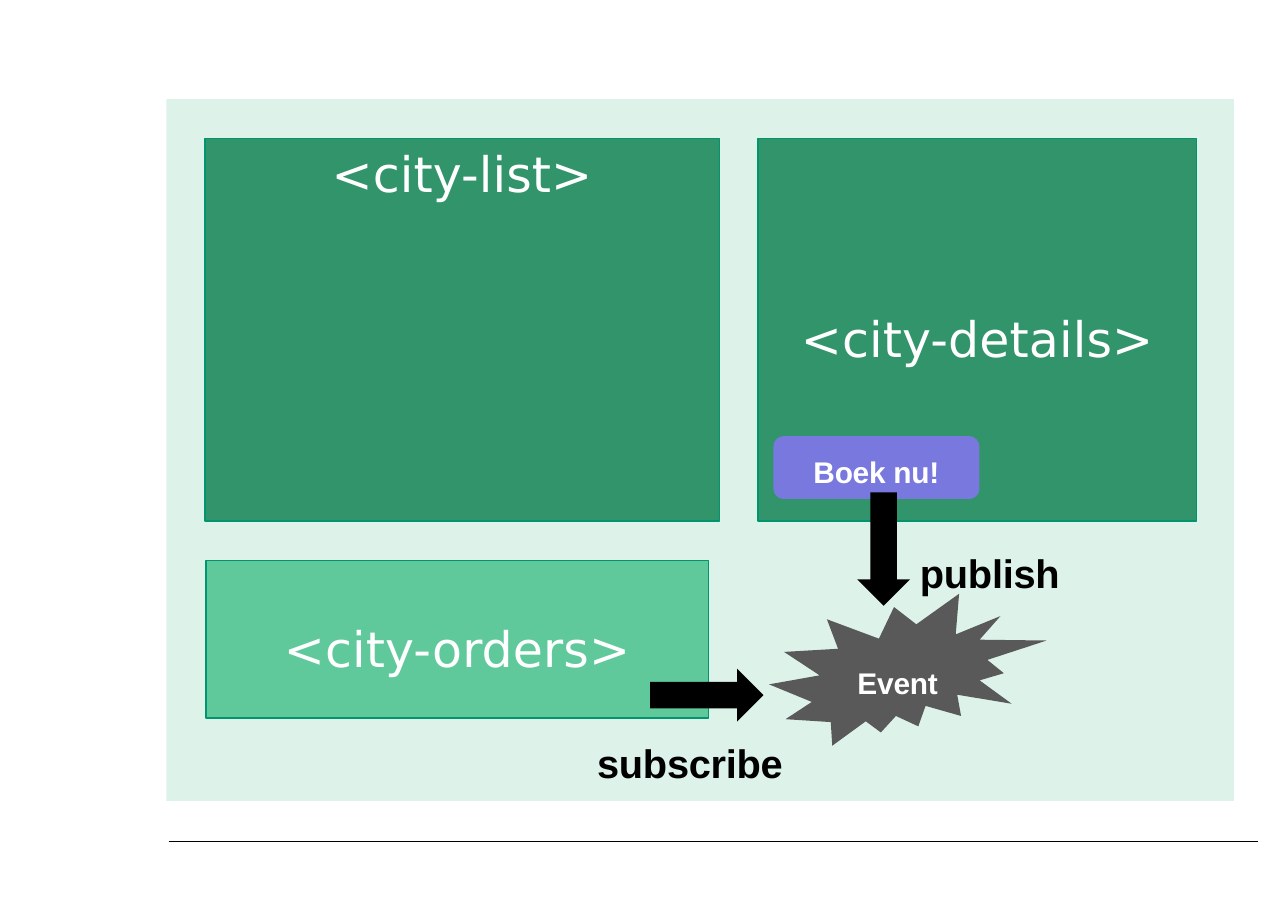
from pptx import Presentation
from pptx.dml.color import RGBColor
from pptx.enum.shapes import MSO_CONNECTOR, MSO_SHAPE as SHAPE
from pptx.enum.text import MSO_ANCHOR as ANCHOR, PP_ALIGN as ALIGN
from pptx.oxml.ns import qn
from pptx.util import Inches, Pt
from lxml.etree import SubElement

COLORS = {
    "black": "000000", "white": "FFFFFF", "mint": "DDF3EA",
    "green": "32946A", "light green": "60C99C", "border": "00956F",
    "violet": "7878DE", "grey": "595959",
}
# Font format and letter spacing (hundredths of a point)
COMPONENT = ({"name": "DejaVu Sans", "size": Pt(32), "bold": False}, 8)
BUTTON = ({"name": "Arial", "size": Pt(19.5), "bold": True}, -20)
ACTION = ({"name": "Arial", "size": Pt(26), "bold": True}, -20)


def rgb(name):
    return RGBColor.from_string(COLORS[name])


class Diagram:
    def __init__(self, slide):
        self.shapes = slide.shapes

    def caption(self, frame, text, style, color="white", align=ALIGN.CENTER,
                anchor=ANCHOR.MIDDLE, drop=0):
        layout = {"margin_left": 0, "margin_right": 0, "margin_bottom": 0,
                  "margin_top": Inches(drop), "word_wrap": False,
                  "vertical_anchor": anchor}
        for key, value in layout.items():
            setattr(frame, key, value)
        paragraph = frame.paragraphs[0]
        paragraph.alignment = align
        run = paragraph.add_run()
        run.text = text
        font_format, spacing = style
        for key, value in font_format.items():
            setattr(run.font, key, value)
        run.font.color.rgb = rgb(color)
        run._r.get_or_add_rPr().set("spc", str(spacing))

    def block(self, kind, box, fill, border=None):
        block = self.shapes.add_shape(kind, *map(Inches, box))
        block.shadow.inherit = False
        block.fill.solid()
        block.fill.fore_color.rgb = rgb(fill)
        if border:
            block.line.color.rgb = rgb(border)
            block.line.width = Pt(1)
        else:
            block.line.fill.background()
        return block

    def label(self, box, text):
        label = self.shapes.add_textbox(*map(Inches, box))
        self.caption(label.text_frame, text, ACTION, "black", ALIGN.LEFT, ANCHOR.TOP)

    def rule(self, left, right, y):
        rule = self.shapes.add_connector(
            MSO_CONNECTOR.STRAIGHT, *map(Inches, (left, y, right, y)))
        rule.line.color.rgb = rgb("black")
        rule.line.width = Pt(0.94)
        SubElement(rule._element.spPr, qn("a:effectLst"))


def main():
    deck = Presentation()
    deck.slide_width, deck.slide_height = Inches(11.69), Inches(8.27)
    diagram = Diagram(deck.slides.add_slide(deck.slide_layouts[6]))

    # Footer rule and application panel
    diagram.rule(1.53, 11.42, 7.64)
    diagram.block(SHAPE.RECTANGLE, (1.51, 0.9, 9.69, 6.37), "mint")

    # Components
    components = [
        ("<city-list>", (1.86, 1.26, 4.67, 3.47), "green", ANCHOR.TOP, 0.04),
        ("<city-orders>", (1.87, 5.09, 4.56, 1.43), "light green", ANCHOR.MIDDLE, 0.16),
        ("<city-details>", (6.88, 1.26, 3.98, 3.47), "green", ANCHOR.MIDDLE, 0.15),
    ]
    for tag, box, fill, anchor, drop in components:
        component = diagram.block(SHAPE.RECTANGLE, box, fill, "border")
        diagram.caption(component.text_frame, tag, COMPONENT, anchor=anchor, drop=drop)

    # Booking button
    button = diagram.block(SHAPE.ROUNDED_RECTANGLE, (7.02, 3.96, 1.87, 0.57), "violet")
    diagram.caption(button.text_frame, "Boek nu!", BUTTON, drop=0.08)

    # Event
    event = diagram.block(SHAPE.EXPLOSION2, (6.98, 5.39, 2.52, 1.38), "grey")
    diagram.caption(event.text_frame, "Event", BUTTON, drop=0.18)

    # Publish and subscribe arrows
    diagram.block(SHAPE.DOWN_ARROW, (7.78, 4.47, 0.48, 1.03), "black")
    diagram.label((8.35, 4.98, 1.3, 0.4), "publish")
    diagram.block(SHAPE.RIGHT_ARROW, (5.9, 6.07, 1.03, 0.48), "black")
    diagram.label((5.42, 6.71, 1.73, 0.4), "subscribe")

    deck.save("out.pptx")


if __name__ == "__main__":
    main()
